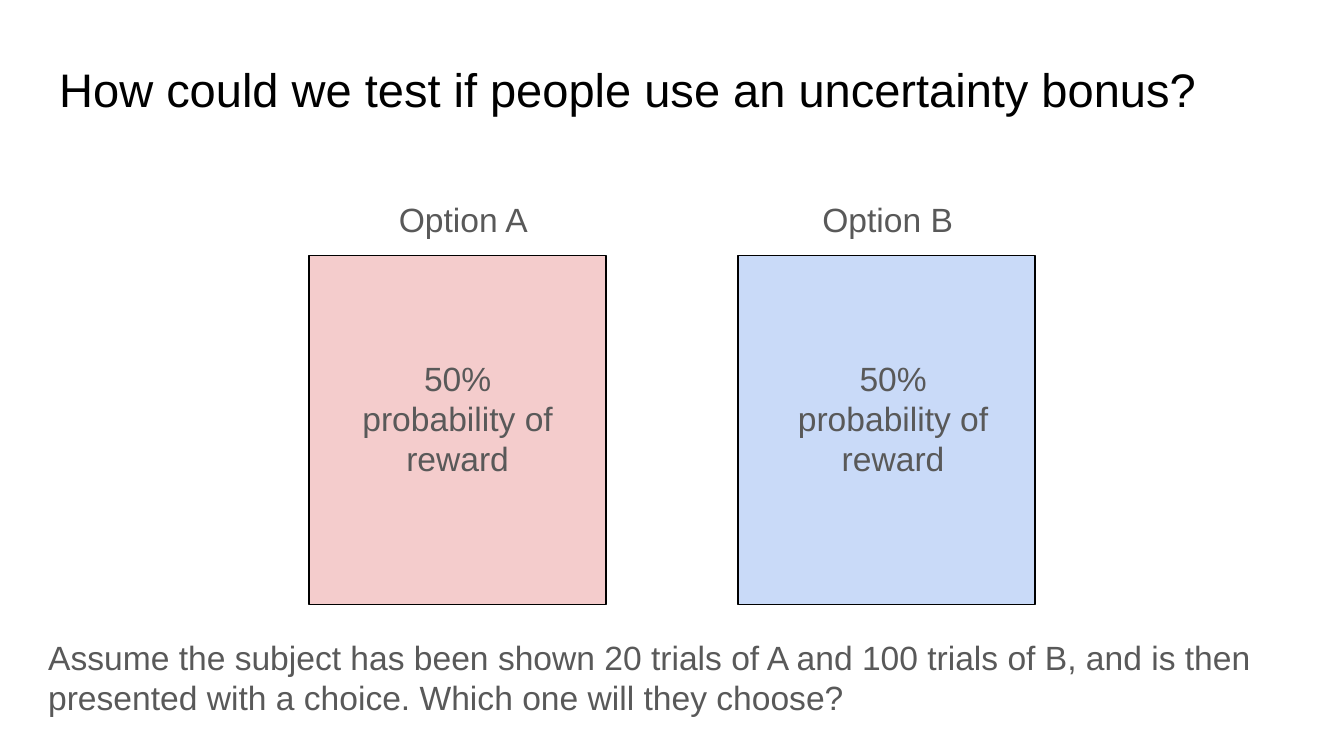
import pptx
import pptx.dml.color
import pptx.enum.shapes
import pptx.enum.text
import pptx.util

Inches = pptx.util.Inches
Pt = pptx.util.Pt
ALIGN = pptx.enum.text.PP_ALIGN
ANCHOR = pptx.enum.text.MSO_ANCHOR

FONT = "Arial"
COLORS = {
    "title": "000000",
    "text": "595959",
    "outline": "000000",
    "option_a": "F4CCCC",
    "option_b": "C9DAF8",
}


def color(name):
    return pptx.dml.color.RGBColor.from_string(COLORS[name])


def write_text(shape, text, size=18, color_name="text", align=ALIGN.LEFT,
               anchor=ANCHOR.TOP):
    frame = shape.text_frame
    frame.word_wrap = True
    frame.auto_size = pptx.enum.text.MSO_AUTO_SIZE.NONE
    frame.vertical_anchor = anchor
    frame.margin_left = frame.margin_right = Inches(0.1)
    frame.margin_top = frame.margin_bottom = Inches(0.1)
    paragraph = frame.paragraphs[0]
    paragraph.alignment = align
    paragraph.line_spacing = 1.0
    paragraph.space_before = Pt(0)
    run = paragraph.add_run()
    run.text = text
    run.font.name = FONT
    run.font.size = Pt(size)
    run.font.color.rgb = color(color_name)


def add_text(slide, box, text, **style):
    shape = slide.shapes.add_textbox(*map(Inches, box))
    write_text(shape, text, **style)


def place_title(slide, box, text):
    title = slide.shapes.title
    title.left, title.top, title.width, title.height = map(Inches, box)
    write_text(title, text, size=25.2, color_name="title",
               anchor=ANCHOR.BOTTOM)


def add_option(slide, box, fill, label, label_offset, label_width, text_offset):
    left, top, width, height = box
    card = slide.shapes.add_shape(
        pptx.enum.shapes.MSO_SHAPE.RECTANGLE, *map(Inches, box))
    card.shadow.inherit = False
    card.fill.solid()
    card.fill.fore_color.rgb = color(fill)
    card.line.color.rgb = color("outline")
    card.line.width = Pt(0.75)
    add_text(slide, (left + label_offset, top - 0.52, label_width, 0.53), label)
    add_text(slide, (left + text_offset, top + 0.66, 1.79, 0.97),
             "50% probability of reward", align=ALIGN.CENTER)


def main():
    presentation = pptx.Presentation()
    presentation.slide_width = Inches(10)
    presentation.slide_height = presentation.slide_width * 9 // 16
    slide = presentation.slides.add_slide(presentation.slide_layouts[5])

    place_title(slide, (0.34, 0.34, 9.32, 0.63),
                "How could we test if people use an uncertainty bonus?")
    add_option(slide, (2.3, 1.9, 2.21, 2.6), "option_a", "Option A",
               label_offset=0.57, label_width=1.97, text_offset=0.21)
    add_option(slide, (5.49, 1.9, 2.21, 2.6), "option_b", "Option B",
               label_offset=0.53, label_width=1.68, text_offset=0.26)
    add_text(slide, (0.26, 4.64, 9.48, 0.53),
             "Assume the subject has been shown 20 trials of A and 100 trials "
             "of B, and is then presented with a choice. "
             "Which one will they choose?")
    presentation.save("out.pptx")


if __name__ == "__main__":
    main()
